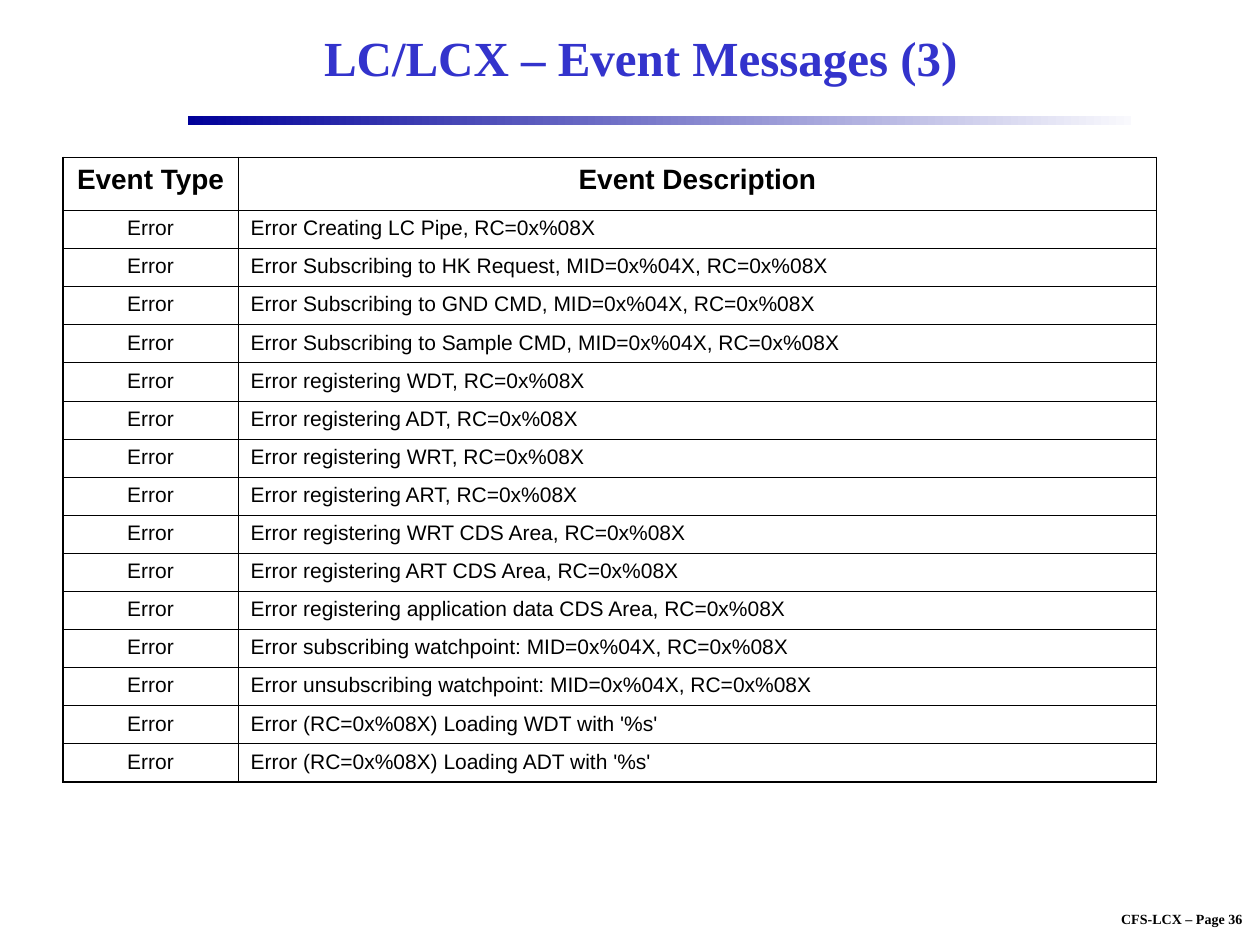
from pptx import Presentation
from pptx.dml.color import RGBColor
from pptx.enum.shapes import MSO_SHAPE as SHAPE
from pptx.enum.text import MSO_ANCHOR as ANCHOR, MSO_AUTO_SIZE as AUTO, PP_ALIGN as ALIGN
from pptx.oxml import parse_xml
from pptx.oxml.ns import nsdecls
from pptx.util import Inches, Pt

BLACK = RGBColor(0x00, 0x00, 0x00)
TITLE_BLUE = RGBColor(0x33, 0x33, 0xCC)
NAVY = RGBColor(0x00, 0x00, 0x99)
PALE = RGBColor(0xF9, 0xF9, 0xFD)
THICK, THIN = Pt(1.08), Pt(0.45)

HEADER = ("Event Type", "Event Description")
DESCRIPTIONS = [
    "Error Creating LC Pipe, RC=0x%08X",
    "Error Subscribing to HK Request, MID=0x%04X, RC=0x%08X",
    "Error Subscribing to GND CMD, MID=0x%04X, RC=0x%08X",
    "Error Subscribing to Sample CMD, MID=0x%04X, RC=0x%08X",
    "Error registering WDT, RC=0x%08X",
    "Error registering ADT, RC=0x%08X",
    "Error registering WRT, RC=0x%08X",
    "Error registering ART, RC=0x%08X",
    "Error registering WRT CDS Area, RC=0x%08X",
    "Error registering ART CDS Area, RC=0x%08X",
    "Error registering application data CDS Area, RC=0x%08X",
    "Error subscribing watchpoint: MID=0x%04X, RC=0x%08X",
    "Error unsubscribing watchpoint: MID=0x%04X, RC=0x%08X",
    "Error (RC=0x%08X) Loading WDT with '%s'",
    "Error (RC=0x%08X) Loading ADT with '%s'",
]


class EventSlide:
    """Holds the fonts and the current slide and draws each kind of element."""

    serif = "Times New Roman"
    sans = "Arial"

    def __init__(self, prs):
        self.s = prs.slides.add_slide(prs.slide_layouts[5])

    def set_text(self, tf, text, font, size, color=BLACK, bold=False, align=ALIGN.CENTER):
        p = tf.paragraphs[0]
        p.text = text
        p.alignment = align
        p.font.name, p.font.size, p.font.bold = font, Pt(size), bold
        p.font.color.rgb = color

    def title(self, text, left, top, width, height):
        sp = self.s.shapes.title
        sp.left, sp.top, sp.width, sp.height = left, top, width, height
        sp.text_frame.vertical_anchor = ANCHOR.MIDDLE
        self.set_text(sp.text_frame, text, self.serif, 28, TITLE_BLUE, True)

    def rule(self, left, top, width, height):
        sp = self.s.shapes.add_shape(SHAPE.RECTANGLE, left, top, width, height)
        sp.shadow.inherit = False
        sp.line.fill.background()
        sp.fill.gradient()
        sp.fill.gradient_angle = 180
        for stop, color in zip(sp.fill.gradient_stops, (PALE, NAVY)):
            stop.color.rgb = color

    def footer(self, text, left, top, width, height):
        tf = self.s.shapes.add_textbox(left, top, width, height).text_frame
        tf.word_wrap = False
        tf.auto_size = AUTO.SHAPE_TO_FIT_TEXT
        self.set_text(tf, text, self.serif, 8, bold=True)

    def borders(self, cell, widths):
        tc_pr = cell._tc.get_or_add_tcPr()
        for side, width in zip("LRTB", widths):
            tc_pr.append(parse_xml(
                f'<a:ln{side} {nsdecls("a")} w="{width}"><a:solidFill>'
                f'<a:srgbClr val="{BLACK}"/></a:solidFill></a:ln{side}>'))

    def table(self, rows, left, top, col_widths, head_height, body_height):
        last_row, last_col = len(rows) - 1, len(col_widths) - 1
        table = self.s.shapes.add_table(
            len(rows), len(col_widths), left, top,
            sum(col_widths), head_height + body_height).table
        table.first_row = table.horz_banding = False
        for column, width in zip(table.columns, col_widths):
            column.width = width
        for i, row in enumerate(rows):
            table.rows[i].height = body_height // last_row if i else head_height
            for j, text in enumerate(row):
                cell = table.cell(i, j)
                edges = (j == 0, j == last_col, i == 0, i == last_row)
                self.borders(cell, [THICK if edge else THIN for edge in edges])
                cell.fill.background()
                self.set_text(cell.text_frame, text, self.sans, 12 if i else 16, bold=i == 0,
                              align=ALIGN.LEFT if i and j else ALIGN.CENTER)


def main():
    prs = Presentation()
    prs.slide_width, prs.slide_height = Inches(10), Inches(7.5)
    slide = EventSlide(prs)
    slide.footer("CFS-LCX – Page 36", Inches(8.6), Inches(7.18), Inches(1.56), Inches(0.23))
    slide.rule(Inches(1.49), Inches(0.92), Inches(7.49), Inches(0.07))
    slide.title("LC/LCX – Event Messages (3)", Inches(1.5), Inches(0.08), Inches(7.17), Inches(0.75))
    rows = [HEADER] + [("Error", text) for text in DESCRIPTIONS]
    slide.table(rows, Inches(0.5), Inches(1.25), (Inches(1.39), Inches(7.29)),
                Inches(0.42), Inches(4.54))
    prs.save("out.pptx")


if __name__ == "__main__":
    main()
